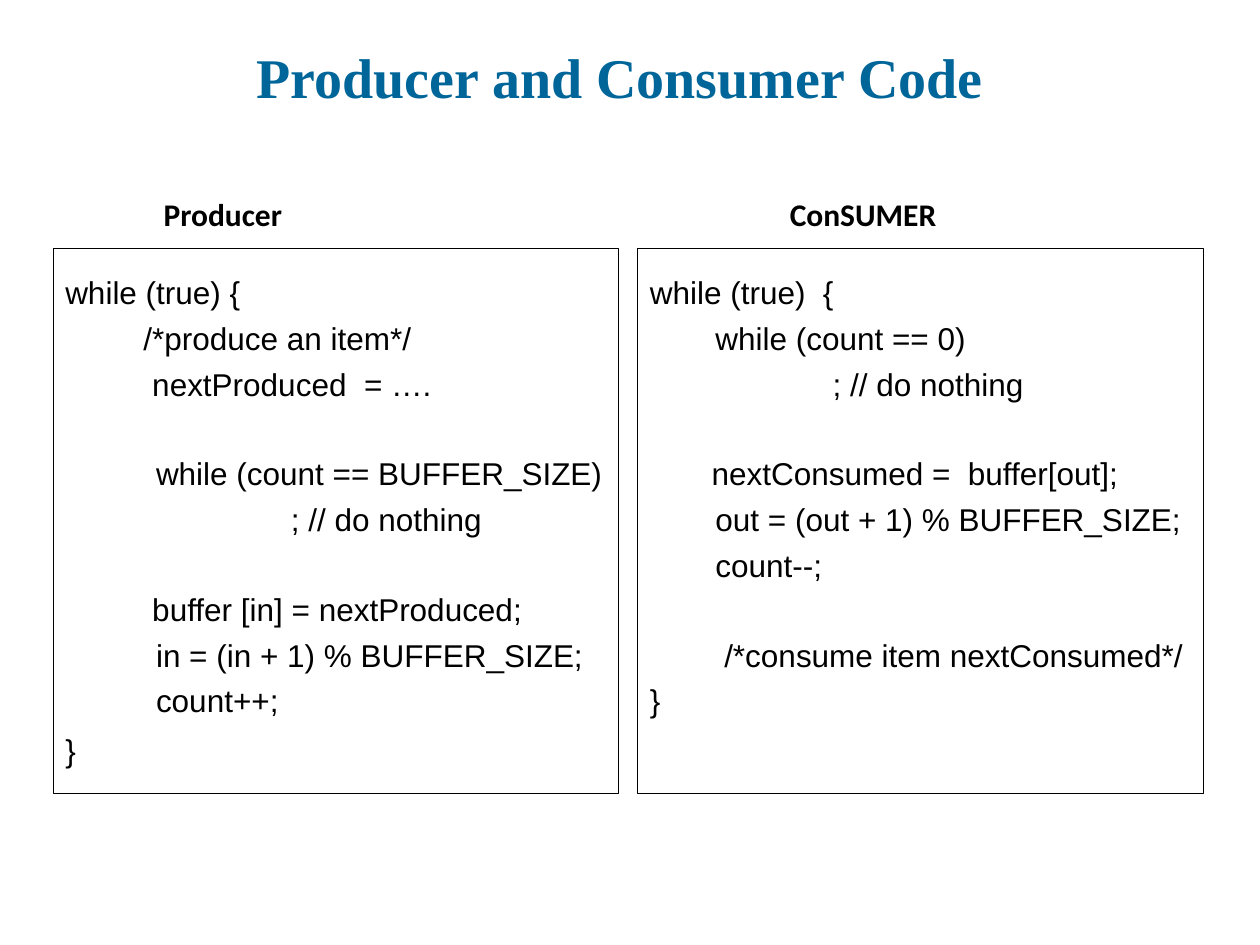
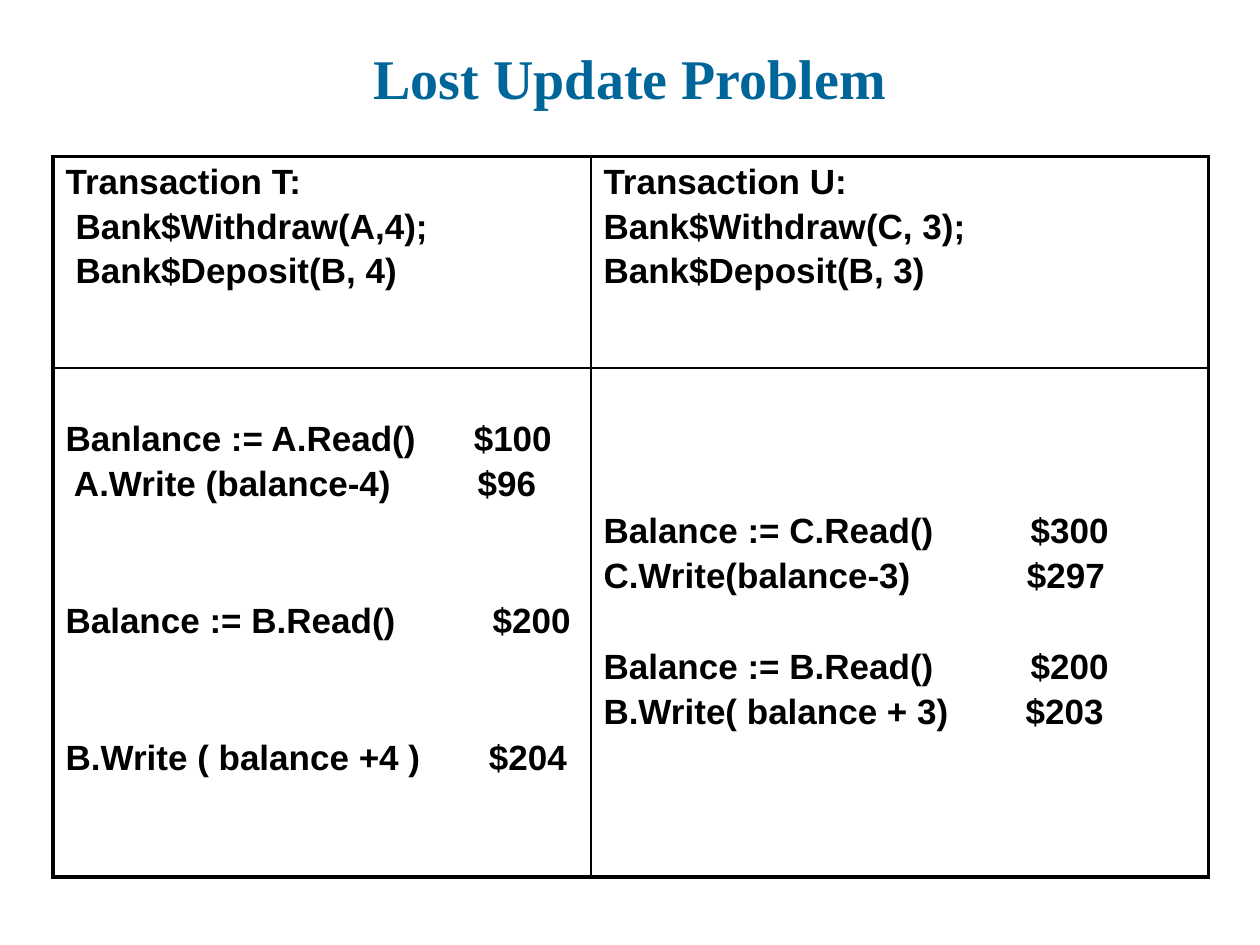
from dataclasses import dataclass

from lxml import etree
from pptx import Presentation
from pptx import util as u
from pptx.dml import color
from pptx.enum import shapes, text
from pptx.oxml import ns


@dataclass(frozen=True)
class Theme:
    ink: str = "000000"
    blue: str = "006699"
    serif: str = "Times New Roman"
    sans: str = "Arial"
    label: str = "Calibri"
    head: int = 32
    body: int = 18
    cell: int = 20
    gap: float = 4.5       # points between code lines
    row: float = 3.3       # points between table lines
    thick: float = 2.25
    thin: float = 1
    hair: float = 0.25


@dataclass(frozen=True)
class Line:
    text: str
    skip: float = 0        # empty lines above
    dent: float = 0        # left indent in inches
    tab: float = 0         # tab stop in inches


def rgb(value):
    return color.RGBColor.from_string(value)


class Deck:
    """Holds the theme and the slide being built."""

    def __init__(self, theme):
        self.theme = theme
        self.prs = Presentation()
        self.prs.slide_width = u.Inches(10)
        self.prs.slide_height = u.Inches(7.5)
        self.slide = None

    def font(self, para, name, size, tint, bold=False):
        font = para.font
        font.name, font.size, font.bold = name, u.Pt(size), bold
        font.color.rgb = rgb(tint)

    # Slide with its title
    def page(self, title, left, top):
        t = self.theme
        self.slide = self.prs.slides.add_slide(self.prs.slide_layouts[5])
        shape = self.slide.shapes.title
        shape.left, shape.top = u.Inches(left), u.Inches(top)
        shape.width, shape.height = u.Inches(9), u.Inches(0.63)
        frame = shape.text_frame
        frame.text = title
        frame.auto_size = text.MSO_AUTO_SIZE.NONE
        frame.vertical_anchor = text.MSO_ANCHOR.BOTTOM
        para = frame.paragraphs[0]
        para.alignment = text.PP_ALIGN.CENTER
        self.font(para, t.serif, t.head, t.blue, True)

    # Lines of text, with empty lines made by spacing
    def fill(self, frame, lines, size, gap, bold=False):
        pitch = size * 1.15 + gap
        for i, line in enumerate(lines):
            para = frame.add_paragraph() if i else frame.paragraphs[0]
            para.text = line.text
            props = para._p.get_or_add_pPr()
            if line.dent:
                props.set("marL", str(u.Inches(line.dent)))
            if line.tab:
                stops = etree.SubElement(props, ns.qn("a:tabLst"))
                etree.SubElement(stops, ns.qn("a:tab"),
                                 pos=str(u.Inches(line.tab)), algn="l")
            if i:
                para.space_before = u.Pt(round(gap + line.skip * pitch, 1))
            self.font(para, self.theme.sans, size, self.theme.ink, bold)

    def box(self, left, top, width, height):
        box = self.slide.shapes.add_textbox(*map(u.Inches, (left, top, width, height)))
        box.text_frame.word_wrap = True
        return box.text_frame

    def code(self, left, width, lines):
        self.fill(self.box(left, 2.12, width, 4.41), lines, self.theme.body, self.theme.gap)

    def label(self, left, words):
        para = self.box(left, 1.5, 1.66, 0.4).paragraphs[0]
        para.text = words
        self.font(para, self.theme.label, self.theme.body, self.theme.ink, True)

    def frame(self, left):
        rect = self.slide.shapes.add_shape(
            shapes.MSO_SHAPE.RECTANGLE, *map(u.Inches, (left, 1.97, 4.49, 4.33)))
        rect.shadow.inherit = False
        rect.fill.background()
        rect.line.color.rgb = rgb(self.theme.ink)
        rect.line.width = u.Pt(self.theme.hair)

    # Table with thick outer and thin inner borders
    def table(self, left, top, cols, rows, cells):
        t = self.theme
        table = self.slide.shapes.add_table(
            len(rows), len(cols), u.Inches(left), u.Inches(top),
            u.Inches(sum(cols)), u.Inches(sum(rows))).table
        table.first_row = table.horz_banding = False
        for col, width in zip(table.columns, cols):
            col.width = u.Inches(width)
        for row, height in zip(table.rows, rows):
            row.height = u.Inches(height)
        pitch = (t.cell * 1.15 + t.row) / 72
        for r, line in enumerate(cells):
            for c, lines in enumerate(line):
                cell = table.cell(r, c)
                self.fill(cell.text_frame, lines, t.cell, t.row, True)
                cell.margin_top = u.Inches(0.05 + lines[0].skip * pitch)
                outer = {"L": c == 0, "R": c == len(cols) - 1,
                         "T": r == 0, "B": r == len(rows) - 1}
                for side, edge in outer.items():
                    self.edge(cell, side, t.thick if edge else t.thin)
                cell.fill.background()

    def edge(self, cell, side, width):
        props = cell._tc.get_or_add_tcPr()
        line = etree.SubElement(props, ns.qn("a:ln" + side), w=str(u.Pt(width)))
        solid = etree.SubElement(line, ns.qn("a:solidFill"))
        etree.SubElement(solid, ns.qn("a:srgbClr"), val=self.theme.ink)


MAKE = [
    Line("while (true) {"),
    Line("/*produce an item*/", dent=0.62),
    Line("nextProduced  = ….", dent=0.69),
    Line("while (count == BUFFER_SIZE)", skip=1, dent=0.72),
    Line("; // do nothing", dent=1.79),
    Line("buffer [in] = nextProduced;", skip=1, dent=0.69),
    Line("in = (in + 1) % BUFFER_SIZE;", dent=0.72),
    Line("count++;", dent=0.72),
    Line("}", skip=0.1),
]
USE = [
    Line("while (true)  {"),
    Line("while (count == 0)", dent=0.52),
    Line("; // do nothing", dent=1.45),
    Line("nextConsumed =  buffer[out];", skip=1, dent=0.49),
    Line("out = (out + 1) % BUFFER_SIZE;", dent=0.52),
    Line("count--;", dent=0.52),
    Line("/*consume item nextConsumed*/", skip=1, dent=0.59),
    Line("}"),
]
CALLS = [
    [Line("Transaction T:"),
     Line("Bank$Withdraw(A,4);", dent=0.08),
     Line("Bank$Deposit(B, 4)", dent=0.08)],
    [Line("Transaction U:"),
     Line("Bank$Withdraw(C, 3);"),
     Line("Bank$Deposit(B, 3)")],
]
STEPS = [
    [Line("Banlance := A.Read()\t$100", skip=1, tab=3.24),
     Line(" A.Write (balance-4)\t$96", tab=3.27),
     Line("Balance := B.Read()\t$200", skip=2, tab=3.39),
     Line("B.Write ( balance +4 )\t$204", skip=2, tab=3.36)],
    [Line("Balance := C.Read()\t$300", skip=3, tab=3.39),
     Line("C.Write(balance-3)\t$297", tab=3.36),
     Line("Balance := B.Read()\t$200", skip=1, tab=3.39),
     Line("B.Write( balance + 3)\t$203", tab=3.35)],
]


def main():
    deck = Deck(Theme())

    # Producer and consumer side by side
    deck.page("Producer and Consumer Code", 0.42, 0.29)
    sides = [(0.42, 4.57, 1.2, "Producer", MAKE),
             (5.06, 4.6, 6.17, "ConSUMER", USE)]
    for left, width, start, name, lines in sides:
        deck.code(left, width, lines)
        deck.label(start, name)
        deck.frame(left)

    # Two transactions over time
    deck.page("Lost Update Problem", 0.5, 0.3)
    deck.table(0.42, 1.24, [4.27, 4.9], [1.68, 4.04], [CALLS, STEPS])

    deck.prs.save("out.pptx")


if __name__ == "__main__":
    main()
